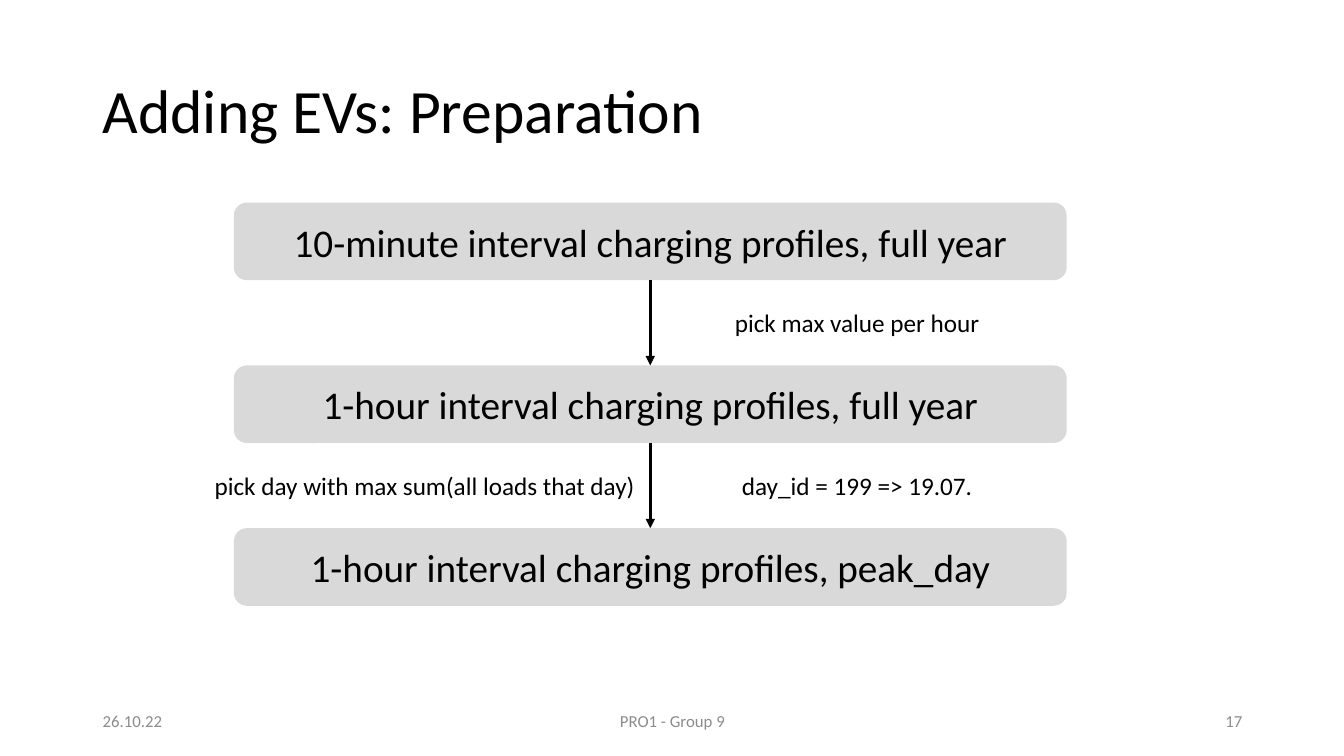
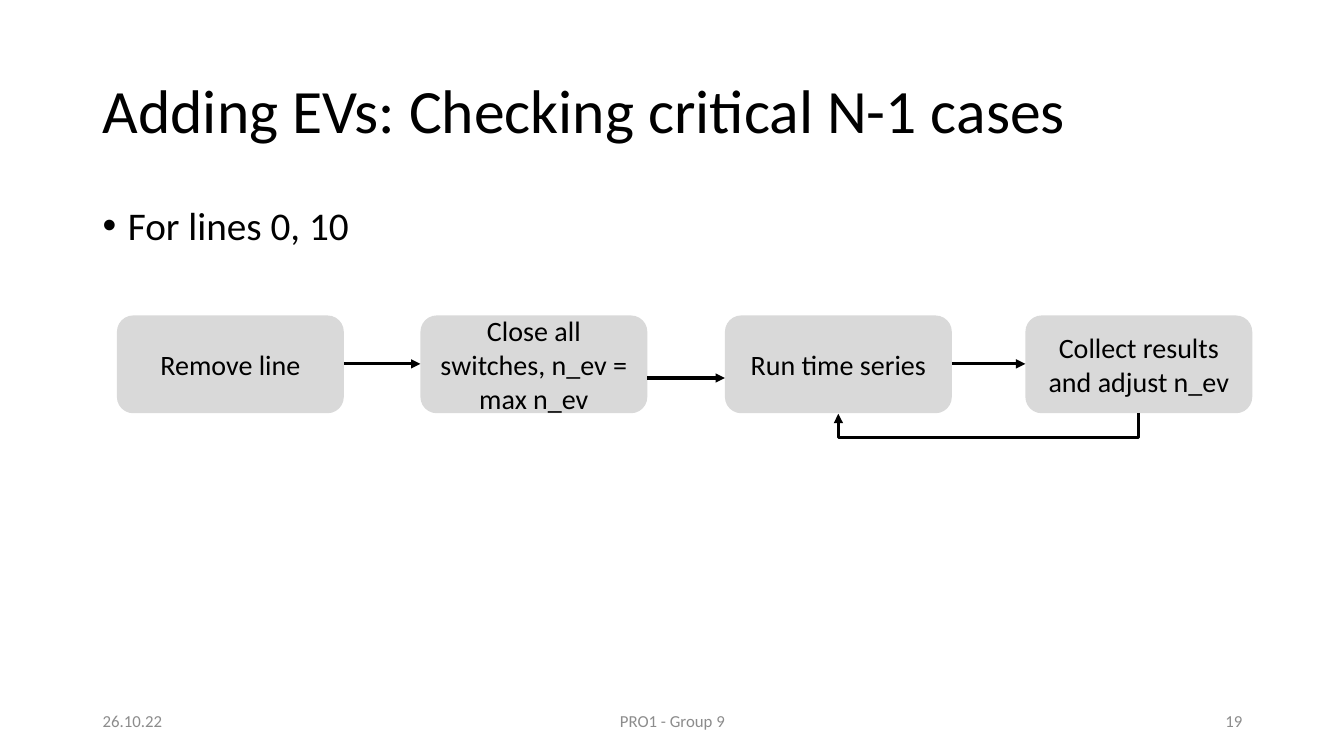
from typing import NamedTuple

from lxml.etree import SubElement as Sub
from pptx import Presentation
from pptx.dml.color import RGBColor as Rgb
from pptx.enum.shapes import MSO_CONNECTOR as Link, MSO_SHAPE as Form
from pptx.enum.text import MSO_ANCHOR as Anchor, MSO_AUTO_SIZE as Fit, PP_ALIGN as Align
from pptx.oxml.ns import qn
from pptx.util import Inches, Pt

HUES = {"ink": "000000", "muted": "8C8C8C", "box": "D9D9D9"}
FONT = "Calibri"


class Box(NamedTuple):
    left: float
    top: float
    width: float
    height: float


class Style(NamedTuple):
    size: float
    hue: str = "ink"
    align: Align = Align.LEFT
    anchor: Anchor = Anchor.MIDDLE
    space: float = 1.0


class Note(NamedTuple):
    text: str
    box: Box


class Step(NamedTuple):
    text: str
    left: float


TITLE = Style(44, space=0.9)
BODY = Style(28, anchor=Anchor.TOP, space=0.9)
LABEL = Style(18, anchor=Anchor.TOP)
STAGE = Style(28, align=Align.CENTER)
STEP = Style(20, align=Align.CENTER)


def rgb(name: str) -> Rgb:
    return Rgb.from_string(HUES[name])


def put(item, values: dict) -> None:
    for name, value in values.items():
        setattr(item, name, value)


def write(frame, text: str, style: Style, wrap: bool = True):
    put(frame, {"word_wrap": wrap, "vertical_anchor": style.anchor,
                "auto_size": Fit.NONE if wrap else Fit.SHAPE_TO_FIT_TEXT})
    para = frame.paragraphs[0]
    put(para, {"alignment": style.align, "line_spacing": style.space})
    run = para.add_run()
    run.text = text
    put(run.font, {"name": FONT, "size": Pt(style.size)})
    run.font.color.rgb = rgb(style.hue)
    return para


def label(slide, text: str, box: Box, style: Style, wrap: bool = True):
    area = slide.shapes.add_textbox(*map(Inches, box))
    return write(area.text_frame, text, style, wrap)


def card(slide, text: str, box: Box, style: Style) -> None:
    shape = slide.shapes.add_shape(Form.ROUNDED_RECTANGLE, *map(Inches, box))
    shape.shadow.inherit = False
    shape.fill.solid()
    shape.fill.fore_color.rgb = rgb("box")
    shape.line.fill.background()
    write(shape.text_frame, text, style)


def arrow(slide, start: tuple, end: tuple, kind: Link = Link.STRAIGHT):
    line = slide.shapes.add_connector(kind, *map(Inches, (*start, *end)))
    line.line.color.rgb = rgb("ink")
    line.line.width = Pt(2.25)
    props = line._element.spPr
    Sub(props.find(qn("a:ln")), qn("a:tailEnd"), type="triangle")
    Sub(props, qn("a:effectLst"))
    return props


def loop(slide, start: float, end: float, top: float, drop: float) -> None:
    """Elbow arrow that leaves downwards, runs left and comes back up."""
    thin, mid, half = 0.01, (start + end) / 2, (start - end) / 2
    props = arrow(slide, (mid - thin / 2, top - half),
                  (mid + thin / 2, top + half), Link.ELBOW)
    # A quarter turn lays the elbow on its side
    props.find(qn("a:xfrm")).set("rot", str(90 * 60000))
    share = round(drop / thin * 100000)
    guides = props.find(qn("a:prstGeom")).find(qn("a:avLst"))
    Sub(guides, qn("a:gd"), name="adj1", fmla=f"val {share}")


def bullet(slide, text: str, box: Box) -> None:
    para = label(slide, text, box, BODY)
    para.space_before = Pt(10)
    props = para._p.get_or_add_pPr()
    put_in = Inches(0.25)
    props.set("marL", str(put_in))
    props.set("indent", str(-put_in))
    Sub(props, qn("a:buFont"), typeface="Arial")
    Sub(props, qn("a:buChar"), char="•")


def base(deck, title: str, page: str):
    """Blank slide with the shared title and footer."""
    slide = deck.slides.add_slide(deck.slide_layouts[6])
    label(slide, title, Box(0.92, 0.4, 11.5, 1.45), TITLE)
    for text, left, width, align in (
        ("26.10.22", 0.92, 3, Align.LEFT),
        ("PRO1 - Group 9", 4.42, 4.5, Align.CENTER),
        (page, 9.42, 3, Align.RIGHT),
    ):
        label(slide, text, Box(left, 6.95, width, 0.4), Style(12, "muted", align))
    return slide


def prep(deck) -> None:
    slide = base(deck, "Adding EVs: Preparation", "17")
    # Stages from top to bottom
    stages = ("10-minute interval charging profiles, full year",
              "1-hour interval charging profiles, full year",
              "1-hour interval charging profiles, peak_day")
    left, width, high = 2.32, 8.26, 0.77
    tops = [2.01 + 1.615 * row for row in range(len(stages))]
    for text, top in zip(stages, tops):
        card(slide, text, Box(left, top, width, high), STAGE)
    mid = left + width / 2
    for top, below in zip(tops, tops[1:]):
        arrow(slide, (mid, top + high), (mid, below))
    # Notes beside the arrows
    for note in (
        Note("pick max value per hour", Box(7.19, 3, 2.66, 0.4)),
        Note("pick day with max sum(all loads that day)", Box(2.03, 4.62, 4.42, 0.4)),
        Note("day_id = 199 => 19.07.", Box(7.26, 4.62, 2.51, 0.4)),
    ):
        label(slide, note.text, note.box, LABEL, wrap=False)


def check(deck) -> None:
    slide = base(deck, "Adding EVs: Checking critical N-1 cases", "19")
    bullet(slide, "For lines 0, 10", Box(0.92, 2, 11.5, 4.76))
    # Steps from left to right
    steps = (Step("Remove line", 1.16),
             Step("Close all switches, n_ev = max n_ev", 4.17),
             Step("Run time series", 7.19),
             Step("Collect results and adjust n_ev", 10.17))
    top, width, high = 3.13, 2.25, 0.97
    for step in steps:
        card(slide, step.text, Box(step.left, top, width, high), STEP)
    for step, after, level in zip(steps, steps[1:], (3.61, 3.75, 3.61)):
        arrow(slide, (step.left + width, level), (after.left, level))
    # Way back to the time series
    run, last = (step.left + width / 2 for step in steps[2:])
    loop(slide, last, run, top + high, 0.25)


def main() -> None:
    deck = Presentation()
    put(deck, {"slide_width": Inches(13.33), "slide_height": Inches(7.5)})
    prep(deck)
    check(deck)
    deck.save("out.pptx")


if __name__ == "__main__":
    main()
